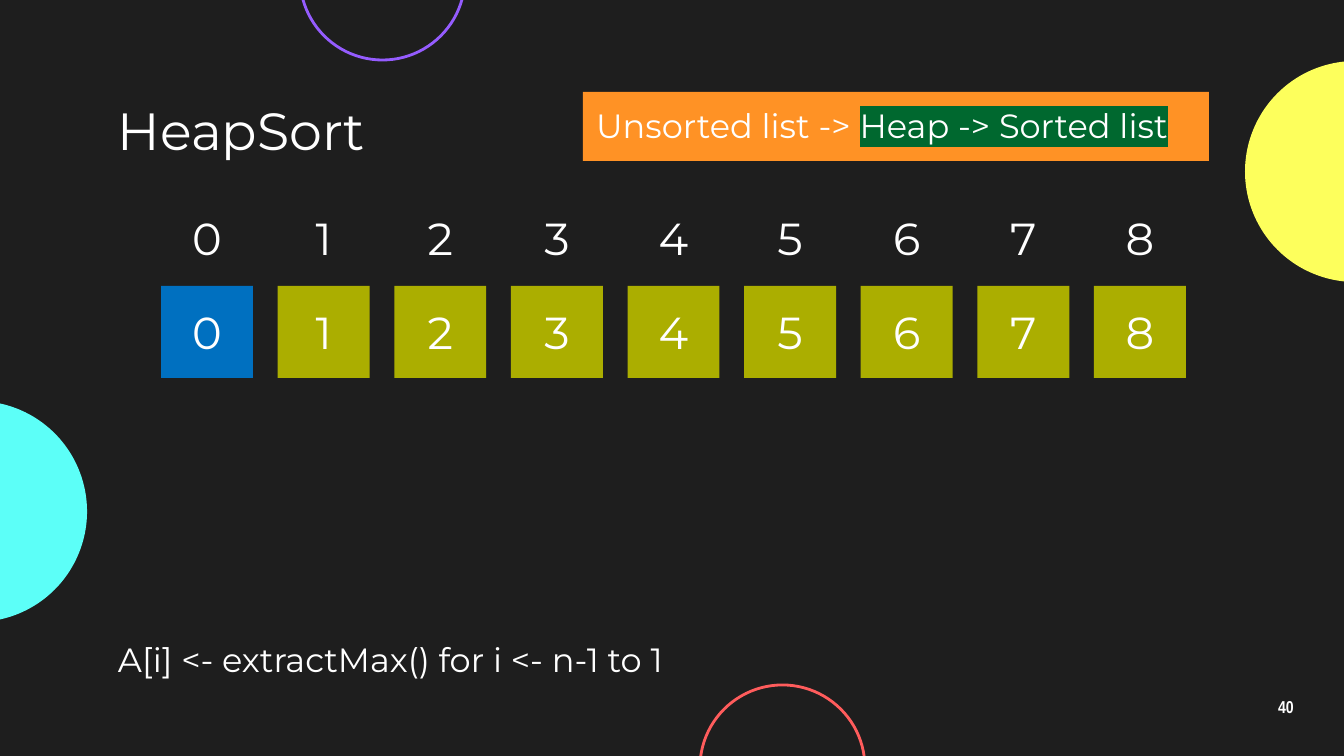
"""Build the HeapSort slide with its sorted array."""
import pptx
import pptx.dml.color
import pptx.enum.shapes
import pptx.enum.text
import pptx.util
from lxml import etree

SCALE = 914400 / 134.4
NS = "http://schemas.openxmlformats.org/drawingml/2006/main"
KIND = pptx.enum.shapes.MSO_SHAPE
ALIGN = pptx.enum.text.PP_ALIGN
ANCHOR = pptx.enum.text.MSO_ANCHOR

HEX = {
    "back": "1E1E1E", "white": "FFFFFF", "cyan": "5CFFF8", "yellow": "FDFF5C",
    "purple": "955CFF", "red": "FF5C5C", "blue": "0070C0", "olive": "ABAE00",
    "orange": "FF9225", "green": "00682F",
}
DISCS = [(-134, 401, 221, "cyan"), (1245, 61, 221, "yellow")]
RINGS = [(300, -105, 165, "purple"), (700, 685, 165, "red")]
TITLE = "HeapSort"
STEP = "A[i] <- extractMax() for i <- n-1 to 1"
STAGES = [("Unsorted list -> ", None), ("Heap -> Sorted list", "green")]
PAGE = "40"
VALUES = [0, 1, 2, 3, 4, 5, 6, 7, 8]
FIRST, LAST, SIDE = 161, 1094, 92


def px(n):
    return pptx.util.Emu(round(n * SCALE))


def rgb(name):
    return pptx.dml.color.RGBColor.from_string(HEX[name])


def draw(slide, kind, box, fill=None, line=None):
    shape = slide.shapes.add_shape(kind, *map(px, box))
    shape.shadow.inherit = False
    if fill:
        shape.fill.solid()
        shape.fill.fore_color.rgb = rgb(fill)
    else:
        shape.fill.background()
    if line:
        shape.line.color.rgb = rgb(line)
        shape.line.width = pptx.util.Pt(1.5)
    else:
        shape.line.fill.background()
    return shape


def mark(run, name):
    light = etree.SubElement(run.font._element, f"{{{NS}}}highlight")
    etree.SubElement(light, f"{{{NS}}}srgbClr", val=HEX[name])


def write(shape, runs, size, align=ALIGN.LEFT, anchor=ANCHOR.MIDDLE,
          pad=13, face="Montserrat", bold=False, space=None):
    frame = shape.text_frame
    frame.word_wrap = True
    frame.vertical_anchor = anchor
    frame.margin_left = frame.margin_right = px(pad)
    frame.margin_top = frame.margin_bottom = px(pad)
    para = frame.paragraphs[0]
    para.alignment = align
    para.line_spacing = space
    for text, light in runs:
        run = para.add_run()
        run.text = text
        run.font.size = pptx.util.Pt(size)
        run.font.bold = bold
        run.font.color.rgb = rgb("white")
        if light:
            mark(run, light)
        run.font.name = face


def label(slide, box, text, size, **style):
    shape = slide.shapes.add_textbox(*map(px, box))
    write(shape, [(text, None)], size, **style)


def main():
    deck = pptx.Presentation()
    deck.slide_width, deck.slide_height = px(1344), px(756)
    slide = deck.slides.add_slide(deck.slide_layouts[6])
    slide.background.fill.solid()
    slide.background.fill.fore_color.rgb = rgb("back")

    for x, y, size, tint in DISCS:
        draw(slide, KIND.OVAL, (x, y, size, size), fill=tint)
    for x, y, size, tint in RINGS:
        draw(slide, KIND.OVAL, (x, y, size, size), line=tint)

    label(slide, (1246, 685, 80, 46), PAGE, 9.2, align=ALIGN.CENTER,
          face="Arial Narrow", bold=True, space=0.9)
    label(slide, (105, 96, 1134, 68), TITLE, 28)

    pitch = (LAST - FIRST) / (len(VALUES) - 1)
    for i, value in enumerate(VALUES):
        x = FIRST + i * pitch
        tint = "olive" if i else "blue"
        cell = draw(slide, KIND.RECTANGLE, (x, 286, SIDE, SIDE), fill=tint)
        write(cell, [(str(value), None)], 24, align=ALIGN.CENTER, pad=0)
        label(slide, (x, 210, SIDE, 56), str(i), 24,
              align=ALIGN.CENTER, pad=0)

    label(slide, (105, 626, 633, 68), STEP, 18, anchor=ANCHOR.TOP)
    banner = draw(slide, KIND.RECTANGLE, (583, 92, 626, 69), fill="orange")
    write(banner, STAGES, 18, anchor=ANCHOR.TOP)

    deck.save("out.pptx")


if __name__ == "__main__":
    main()
